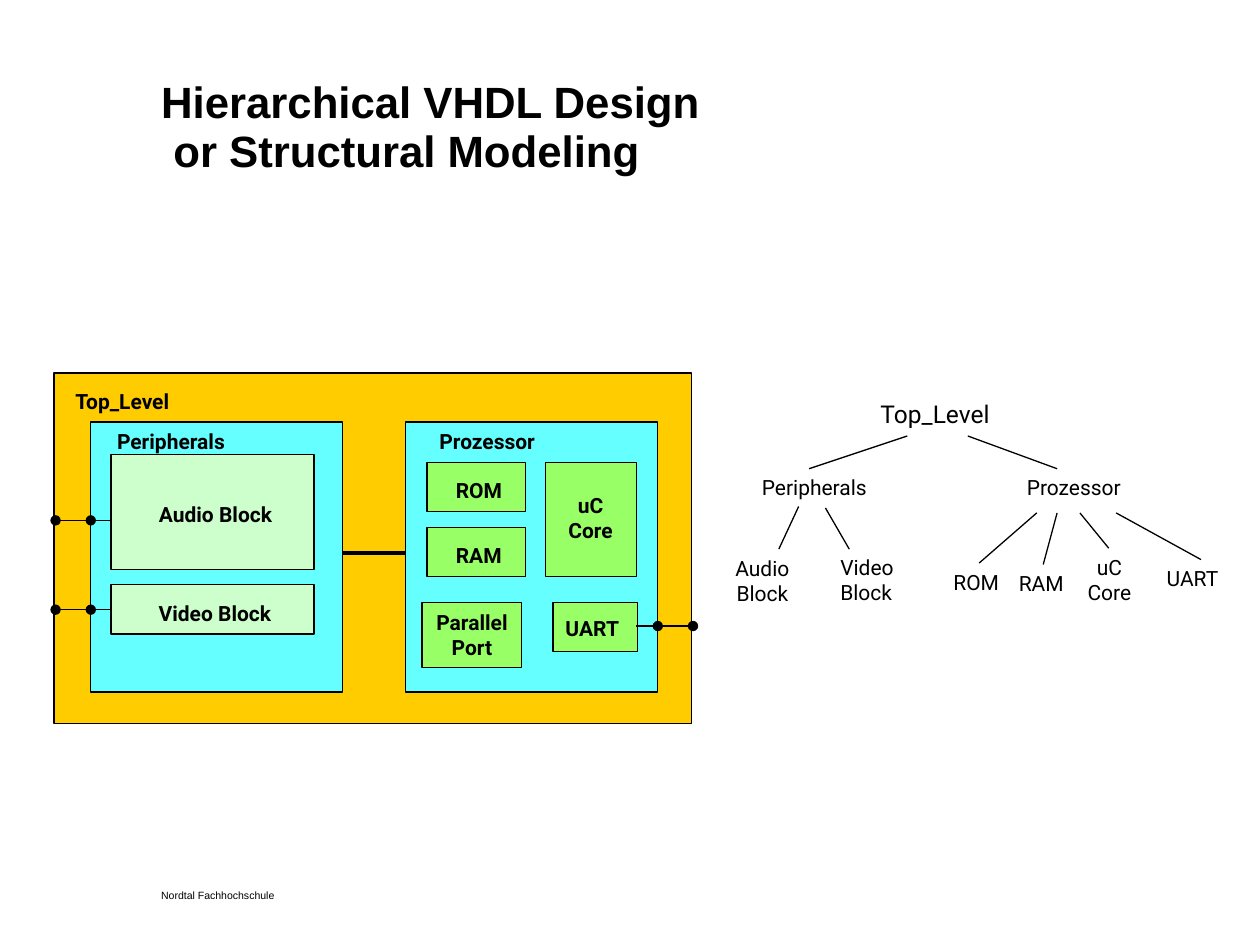
from copy import deepcopy

from lxml.etree import SubElement
from pptx import Presentation
from pptx.dml.color import RGBColor
from pptx.enum.shapes import MSO_CONNECTOR, MSO_SHAPE
from pptx.enum.text import MSO_ANCHOR, MSO_AUTO_SIZE, PP_ALIGN
from pptx.oxml.ns import qn
from pptx.util import Cm, Pt

BLACK = "000000"
ORANGE = "FFCC00"
CYAN = "66FFFF"
MINT = "CCFFCC"
GREEN = "99FF66"


def color(hex_value):
    return RGBColor.from_string(hex_value)


def write(frame, text, size=12, font="Roboto", bold=False, align=PP_ALIGN.LEFT,
          anchor=MSO_ANCHOR.TOP, wrap=True, grow=False, margin=None,
          line_spacing=None, space=None):
    """Fill a text frame with one paragraph; newlines become line breaks."""
    frame.word_wrap = wrap
    frame.auto_size = MSO_AUTO_SIZE.SHAPE_TO_FIT_TEXT if grow else MSO_AUTO_SIZE.NONE
    frame.vertical_anchor = anchor
    if margin is not None:
        frame.margin_left = frame.margin_right = Cm(margin)
        frame.margin_top = frame.margin_bottom = Cm(margin)
    paragraph = frame.paragraphs[0]
    paragraph.text = text
    paragraph.alignment = align
    if line_spacing is not None:
        paragraph.line_spacing = Pt(line_spacing)
    if space is not None:
        paragraph.space_before = paragraph.space_after = Pt(space)
    for run in paragraph.runs:
        run.font.size = Pt(size)
        run.font.name = font
        run.font.bold = bold
        run.font.color.rgb = color(BLACK)
    # A line break needs the run format too, or it keeps the default size
    run_format = paragraph.runs[0].font._element
    for line_break in paragraph._p.findall(qn("a:br")):
        line_break.append(deepcopy(run_format))


class Diagram:
    """Holds the current slide and the line style shared by its elements."""

    line_width = 0.75

    def __init__(self, slide):
        self.slide = slide

    def title(self, text, left, top, width, height):
        title = self.slide.shapes.title
        title.left, title.top = Cm(left), Cm(top)
        title.width, title.height = Cm(width), Cm(height)
        write(title.text_frame, text, size=25, font="Arial", bold=True,
              margin=0, line_spacing=28.1)

    def block(self, left, top, width, height, fill):
        block = self.slide.shapes.add_shape(
            MSO_SHAPE.RECTANGLE, Cm(left), Cm(top), Cm(width), Cm(height))
        block.shadow.inherit = False
        block.fill.solid()
        block.fill.fore_color.rgb = color(fill)
        block.line.color.rgb = color(BLACK)
        block.line.width = Pt(self.line_width)
        return block

    def label(self, text, left, top, width, height=0.76, grow=True, **text_format):
        label = self.slide.shapes.add_textbox(
            Cm(left), Cm(top), Cm(width), Cm(height))
        write(label.text_frame, text, grow=grow, **text_format)

    def wire(self, start, end, width=line_width, dot=False):
        """Draw a straight line, with a round dot at its end if asked."""
        wire = self.slide.shapes.add_connector(
            MSO_CONNECTOR.STRAIGHT, *(Cm(value) for value in (*start, *end)))
        wire.line.color.rgb = color(BLACK)
        wire.line.width = Pt(width)
        if dot:
            SubElement(wire.line._get_or_add_ln(), qn("a:tailEnd"), type="oval")
        SubElement(wire._element.spPr, qn("a:effectLst"))

    def pin(self, y, *stops):
        """Lead a wire outwards from a block, with a dot at each border."""
        for start, end in zip(stops, stops[1:]):
            self.wire((start, y), (end, y), dot=True)


def draw_blocks(diagram):
    blocks = [
        (1.09, 7.52, 12.85, 7.06, ORANGE),
        (8.18, 8.51, 5.08, 5.44, CYAN),
        (1.83, 8.51, 5.08, 5.44, CYAN),
        (2.24, 11.79, 4.09, 0.99, MINT),
        (2.24, 9.17, 4.09, 2.31, MINT),
        (11, 9.32, 1.83, 2.31, GREEN),
        (8.61, 9.32, 1.98, 0.99, GREEN),
        (8.61, 10.64, 1.98, 0.99, GREEN),
        (11.15, 12.14, 1.7, 0.99, GREEN),
    ]
    for block in blocks:
        diagram.block(*block)
    parallel_port = diagram.block(8.51, 12.14, 2.01, 1.32, GREEN)
    write(parallel_port.text_frame, "Parallel\nPort", bold=True,
          align=PP_ALIGN.CENTER, anchor=MSO_ANCHOR.MIDDLE, wrap=False)

    names = [
        ("Top_Level", 1.27, 7.7, 3.56),
        ("Peripherals", 2.11, 8.51, 4.04),
        ("Prozessor", 8.61, 8.51, 3.66),
        ("ROM", 8.94, 9.5, 2.13),
        ("RAM", 8.94, 10.82, 2.11),
        ("UART", 11.15, 12.29, 2.41),
        ("Video Block", 2.95, 11.99, 3.81),
    ]
    for name in names:
        diagram.label(*name, bold=True)
    diagram.label("Audio Block", 2.54, 9.98, 3.61, bold=True, align=PP_ALIGN.CENTER)
    diagram.label("uC\nCore", 10.85, 9.8, 2.11, 1.3, bold=True, align=PP_ALIGN.CENTER)

    diagram.wire((6.91, 11.15), (8.18, 11.15), width=2.25)
    for y in (10.49, 12.29):
        diagram.pin(y, 2.24, 1.83, 1.12)
    diagram.pin(12.62, 12.83, 13.26, 13.97)


def draw_tree(diagram):
    diagram.label("Top_Level", 17.5, 7.92, 2.77, 0.86, size=14, wrap=False)
    nodes = [
        ("Peripherals", 15.11, 9.45, 4.04),
        ("Prozessor", 20.45, 9.45, 3.66),
        ("ROM", 18.97, 11.35, 1.52),
        ("RAM", 20.29, 11.38, 1.47),
        ("UART", 23.27, 11.28, 1.88),
        ("Video Block", 16.69, 11.05, 2.29, 1.3),
    ]
    for node in nodes:
        diagram.label(*node)
    diagram.label("Audio Block", 14.1, 11.07, 2.54, 1.3, align=PP_ALIGN.CENTER)
    diagram.label("uC\nCore", 21.31, 11.05, 2.11, 1.27, align=PP_ALIGN.CENTER)

    branches = [
        ((18.29, 8.79), (16.31, 9.45)),
        ((19.51, 8.79), (21.31, 9.45)),
        ((16.1, 10.21), (15.7, 11.07)),
        ((16.64, 10.24), (17.12, 11.07)),
        ((20.9, 10.34), (19.74, 11.35)),
        ((21.31, 10.34), (21.03, 11.38)),
        ((21.77, 10.34), (22.35, 11.05)),
        ((22.5, 10.34), (24.21, 11.28)),
    ]
    for parent, child in branches:
        diagram.wire(parent, child)


def main():
    presentation = Presentation()
    presentation.slide_width, presentation.slide_height = Cm(25.4), Cm(19.05)
    title_only = presentation.slide_layouts[5]
    diagram = Diagram(presentation.slides.add_slide(title_only))
    diagram.title("Hierarchical VHDL Design\n or Structural Modeling",
                  3.25, 1.57, 17.96, 1.78)
    draw_blocks(diagram)
    draw_tree(diagram)
    diagram.label("Nordtal Fachhochschule", 3.25, 17.96, 2.87, 0.2, size=6,
                  font="Arial", margin=0, line_spacing=6.1, space=6.1)
    presentation.save("out.pptx")


if __name__ == "__main__":
    main()
